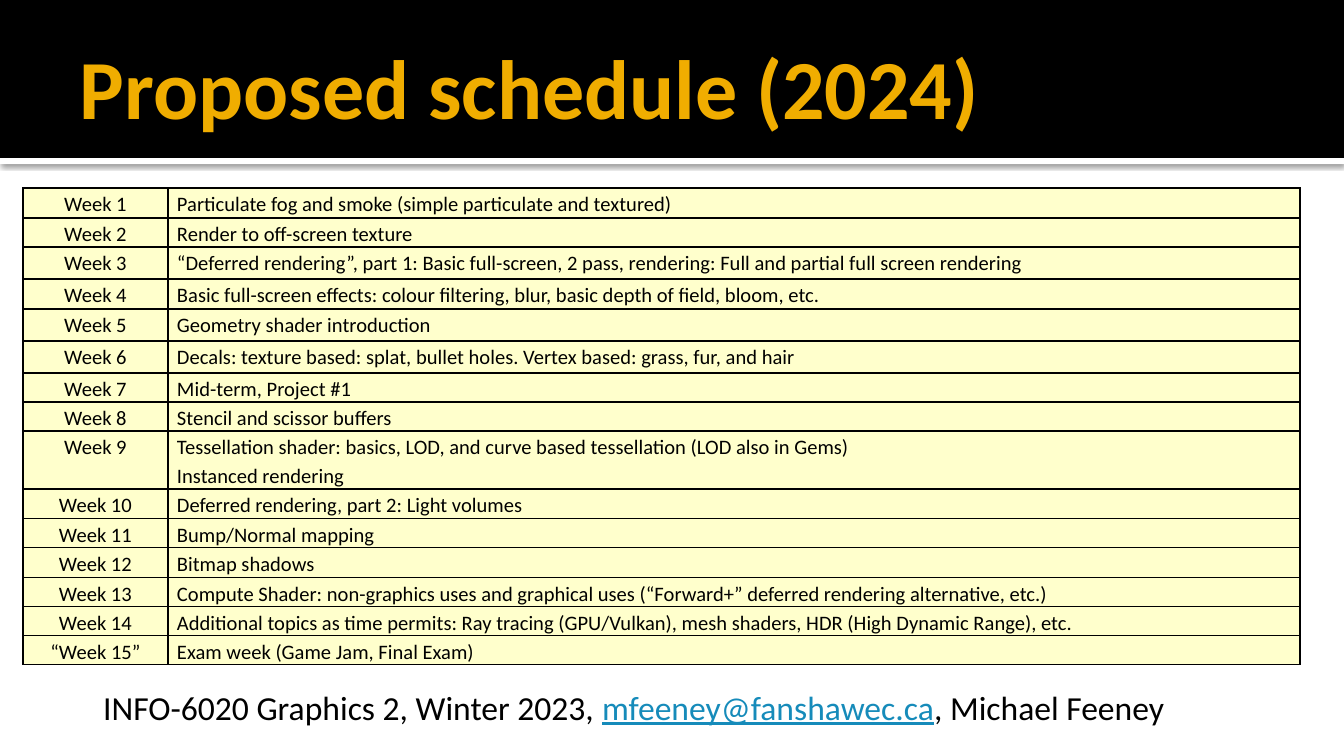
from pptx import Presentation, util as u
from pptx.dml.color import RGBColor
from pptx.enum import shapes, text
from pptx.oxml import parse_xml
from pptx.oxml.ns import nsdecls

TITLE = "Proposed schedule (2024)"
SCHEDULE = [
    ("Week 1", "Particulate fog and smoke (simple particulate and textured)", 30),
    ("Week 2", "Render to off-screen texture", 29),
    ("Week 3", "“Deferred rendering”, part 1: Basic full-screen, 2 pass, rendering: "
               "Full and partial full screen rendering", 32),
    ("Week 4", "Basic full-screen effects: colour filtering, blur, basic depth of field, bloom, etc.", 30),
    ("Week 5", "Geometry shader introduction", 32),
    ("Week 6", "Decals: texture based: splat, bullet holes. Vertex based: grass, fur, and hair", 32),
    ("Week 7", "Mid-term, Project #1", 29),
    ("Week 8", "Stencil and scissor buffers", 29),
    ("Week 9", "Tessellation shader: basics, LOD, and curve based tessellation (LOD also in Gems)\n"
               "Instanced rendering", 58),
    ("Week 10", "Deferred rendering, part 2: Light volumes", 30),
    ("Week 11", "Bump/Normal mapping", 29),
    ("Week 12", "Bitmap shadows", 30),
    ("Week 13", "Compute Shader: non-graphics uses and graphical uses "
                "(“Forward+” deferred rendering alternative, etc.)", 29),
    ("Week 14", "Additional topics as time permits: Ray tracing (GPU/Vulkan), mesh shaders, "
                "HDR (High Dynamic Range), etc.", 29),
    ("“Week 15”", "Exam week (Game Jam, Final Exam)", 29),
]
COLUMNS = (145, 1132)
FOOTER = [
    ("INFO-6020 Graphics 2, Winter 2023, ", "000000", False),
    ("mfeeney@fanshawec.ca", "168BBA", True),
    (", Michael Feeney", "000000", False),
]
WIDTH, HEIGHT = 1344, 756


def px(length):
    return round(length * u.Inches(10) / WIDTH)


def colour(value):
    return RGBColor.from_string(value)


def style(run, size, value, bold=False, underline=False):
    font = run.font
    font.name, font.size, font.bold = "Calibri", u.Pt(size), bold
    font.underline = underline
    font.color.rgb = colour(value)


def add_band(slide, top, height, value):
    band = slide.shapes.add_shape(shapes.MSO_SHAPE.RECTANGLE, 0, px(top), px(WIDTH), px(height))
    band.shadow.inherit = False
    band.fill.solid()
    band.fill.fore_color.rgb = colour(value)
    band.line.fill.background()
    return band


def add_text(slide, left, top, width, height):
    frame = slide.shapes.add_textbox(px(left), px(top), px(width), px(height)).text_frame
    frame.word_wrap = True
    return frame


def fill_cell(cell, words, align):
    cell.text_frame.text = words
    cell.margin_left = cell.margin_right = px(9)
    cell.margin_top = cell.margin_bottom = 0
    for paragraph in cell.text_frame.paragraphs:
        paragraph.alignment, paragraph.line_spacing = align, 1.15
        style(paragraph.runs[0], 11, "000000")
    properties = cell._tc.get_or_add_tcPr()
    for side in "LRTB":
        properties.append(parse_xml(
            f'<a:ln{side} {nsdecls("a")} w="12700"><a:solidFill>'
            f'<a:srgbClr val="000000"/></a:solidFill></a:ln{side}>'))
    cell.fill.solid()
    cell.fill.fore_color.rgb = colour("FFFFCC")


def add_schedule(slide):
    heights = [height for _, _, height in SCHEDULE]
    table = slide.shapes.add_table(len(SCHEDULE), len(COLUMNS), px(23), px(188),
                                   px(sum(COLUMNS)), px(sum(heights))).table
    table.first_row = table.horz_banding = False
    for column, width in zip(table.columns, COLUMNS):
        column.width = px(width)
    for row, (week, topic, height) in zip(table.rows, SCHEDULE):
        row.height = px(height)
        fill_cell(row.cells[0], week, text.PP_ALIGN.CENTER)
        fill_cell(row.cells[1], topic, text.PP_ALIGN.LEFT)


def main():
    """Build the course schedule slide."""
    deck = Presentation()
    deck.slide_width, deck.slide_height = px(WIDTH), px(HEIGHT)
    slide = deck.slides.add_slide(deck.slide_layouts[6])

    rule = add_band(slide, 158, 6, "FFFFFF")
    rule._element.spPr.find("{*}effectLst").append(parse_xml(
        f'<a:outerShdw {nsdecls("a")} blurRad="31750" dist="10160" dir="5400000" '
        'rotWithShape="0"><a:srgbClr val="000000"><a:alpha val="60000"/></a:srgbClr></a:outerShdw>'))
    add_band(slide, 0, 158, "000000")

    title = add_text(slide, 67, 17, 1210, 138)
    title.vertical_anchor = text.MSO_ANCHOR.MIDDLE
    title.margin_left = px(13)
    title.margin_right = title.margin_top = title.margin_bottom = px(7)
    title.text = TITLE
    style(title.paragraphs[0].runs[0], 45, "F0AD00", bold=True)

    add_schedule(slide)

    footer = add_text(slide, 90, 680, 1132, 54)
    footer.auto_size = text.MSO_AUTO_SIZE.SHAPE_TO_FIT_TEXT
    for words, value, underline in FOOTER:
        run = footer.paragraphs[0].add_run()
        run.text = words
        style(run, 18, value, underline=underline)

    deck.save("out.pptx")


if __name__ == "__main__":
    main()
